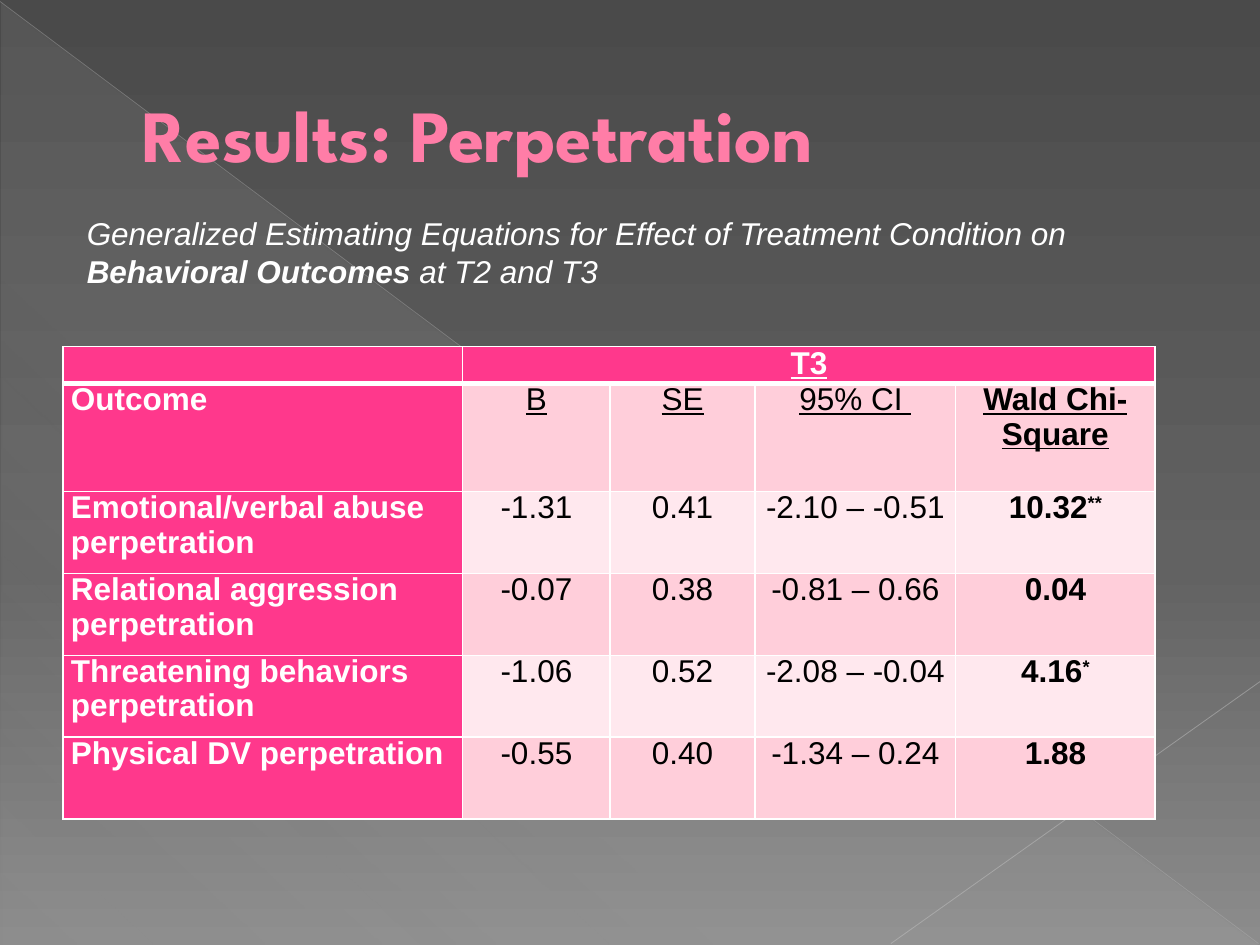
from lxml import etree
from pptx import Presentation
from pptx import util as u
from pptx.dml.color import RGBColor
from pptx.enum import shapes, text
from pptx.oxml import parse_xml
from pptx.oxml.ns import nsdecls, qn

WHITE = RGBColor(0xFF, 0xFF, 0xFF)
BLACK = RGBColor(0, 0, 0)
ROSE = RGBColor(0xFF, 0x7D, 0xA7)
WINE = RGBColor(0xB1, 0x27, 0x61)
PINK = RGBColor(0xFF, 0x38, 0x8C)
BLUSH = RGBColor(0xFF, 0xCE, 0xDA)
PALE = RGBColor(0xFF, 0xE8, 0xEE)
DARK = RGBColor(0x4A, 0x4A, 0x4A)
GREY = RGBColor(0x62, 0x62, 0x62)
LIGHT = RGBColor(0x8C, 0x8C, 0x8C)
MIST = RGBColor(0xD2, 0xD2, 0xD2)
RAY = RGBColor(0xBF, 0xBF, 0xBF)
BEAM = RGBColor(0xC6, 0xC6, 0xC6)

HEADS = ["Outcome", "B", "SE", "95% CI ", "Wald Chi-Square"]
ROWS = [
    ["Emotional/verbal abuse perpetration", "-1.31", "0.41", "-2.10 – -0.51", "10.32**"],
    ["Relational aggression perpetration", "-0.07", "0.38", "-0.81 – 0.66", "0.04"],
    ["Threatening behaviors perpetration", "-1.06", "0.52", "-2.08 – -0.04", "4.16*"],
    ["Physical DV perpetration", "-0.55", "0.40", "-1.34 – 0.24", "1.88"],
]
COLS = [8.05, 2.97, 2.92, 4.04, 4.02]
TALL = [0.56, 2.18] + [1.65] * 4


def color(rgb, alpha=100):
    return (f'<a:srgbClr val="{rgb}"><a:alpha val="{alpha * 1000}"/></a:srgbClr>')


def grad(stops, angle):
    """Gradient fill from (position, colour, opacity) stops."""
    gs = "".join(f'<a:gs pos="{pos * 1000}">{color(rgb, alpha)}</a:gs>'
                 for pos, rgb, alpha in stops)
    return parse_xml(f'<a:gradFill {nsdecls("a")} rotWithShape="1"><a:gsLst>{gs}</a:gsLst>'
                     f'<a:lin ang="{angle * 60000}" scaled="0"/></a:gradFill>')


def swap(fill, new):
    """Put a new gradient in place of the default one."""
    old = fill.find(".//" + qn("a:gradFill"))
    old.getparent().replace(old, new)


def style(run, size, rgb, bold=False, italic=False, line=False, face="Arial"):
    font = run.font
    font.size, font.name = u.Pt(size), face
    font.bold, font.italic, font.underline = bold, italic, line
    font.color.rgb = rgb


def ray(slide, x1, y1, x2, y2, rgb, width, alpha):
    line = slide.shapes.add_connector(shapes.MSO_CONNECTOR.STRAIGHT,
                                      u.Cm(x1), u.Cm(y1), u.Cm(x2), u.Cm(y2))
    line.line.width = u.Pt(width)
    line.line.color.rgb = rgb
    props = line._element.spPr
    tone = props.find(".//" + qn("a:srgbClr"))
    etree.SubElement(tone, qn("a:alpha")).set("val", str(alpha * 1000))
    etree.SubElement(props, qn("a:effectLst"))


def backdrop(slide, wide, high):
    back = slide.background.fill
    back.gradient()
    swap(slide._element, grad([(0, DARK, 100), (60, GREY, 100), (100, LIGHT, 100)], 90))
    wedge = slide.shapes.add_shape(shapes.MSO_SHAPE.RIGHT_TRIANGLE, u.Cm(0.03), u.Cm(0.05),
                                   u.Cm(wide - 0.05), u.Cm(high - 0.05))
    wedge.shadow.inherit = False
    wedge.line.fill.background()
    wedge.fill.gradient()
    swap(wedge._element, grad([(0, MIST, 10), (70, MIST, 8), (100, MIST, 1)], 133))
    ray(slide, 0, 0.03, wide - 0.03, high - 0.03, RAY, 0.39, 35)
    ray(slide, wide, 13.74, 17.96, high - 0.03, BEAM, 0.47, 45)


def frame(slide, x, y, w, h):
    body = slide.shapes.add_textbox(u.Cm(x), u.Cm(y), u.Cm(w), u.Cm(h)).text_frame
    body.word_wrap = True
    return body


def title(slide, x, y, w, h):
    body = frame(slide, x, y, w, h)
    body.vertical_anchor = text.MSO_ANCHOR.MIDDLE
    body.text = "Results: Perpetration"
    para = body.paragraphs[0]
    para._p.get_or_add_pPr().set("marL", str(u.Cm(1.35)))
    run = para.runs[0]
    style(run, 42, ROSE, bold=True, face="League Spartan")
    edge = (f'<a:ln {nsdecls("a")} w="6350"><a:solidFill>{color(WINE)}</a:solidFill></a:ln>')
    run._r.get_or_add_rPr().insert(0, parse_xml(edge))


def caption(slide, x, y, w, h):
    para = frame(slide, x, y, w, h).paragraphs[0]
    parts = ["Generalized Estimating Equations for Effect of Treatment Condition on ",
             "Behavioral Outcomes ", "at T2 and T3"]
    for i, part in enumerate(parts):
        run = para.add_run()
        run.text = part
        style(run, 18, WHITE, bold=i == 1, italic=True)


def paint(cell, rgb, top, base):
    """Fill, margins and white borders of one cell."""
    cell.fill.solid()
    cell.fill.fore_color.rgb = rgb
    cell.margin_left = cell.margin_right = u.Cm(0.16)
    cell.margin_top = cell.margin_bottom = 0
    props = cell._tc.get_or_add_tcPr()
    for i, (side, width) in enumerate(zip("LRTB", (1, 1, top, base))):
        props.insert(i, parse_xml(
            f'<a:ln{side} {nsdecls("a")} w="{u.Pt(width)}"><a:solidFill>{color(WHITE)}'
            f'</a:solidFill></a:ln{side}>'))


def write(cell, words, rgb, bold, line, center):
    para = cell.text_frame.paragraphs[0]
    para.line_spacing = 0.97
    if center:
        para.alignment = text.PP_ALIGN.CENTER
    if not words:
        para.font.size = u.Pt(12)
        return
    plain = words.rstrip("*")
    para.text = plain
    if plain != words:
        para.add_run().text = words[len(plain):]
        para.runs[1]._r.get_or_add_rPr().set("baseline", "30000")
    for run in para.runs:
        style(run, 18, rgb, bold, line=line)


def results(slide, x, y, w, h):
    data = [["", "T3", "", "", ""], HEADS] + ROWS
    grid = slide.shapes.add_table(len(data), len(COLS), u.Cm(x), u.Cm(y),
                                  u.Cm(w), u.Cm(h)).table
    for col, size in zip(grid.columns, COLS):
        col.width = u.Cm(size * w / sum(COLS))
    for row, size in zip(grid.rows, TALL):
        row.height = u.Cm(size)
    for r, row in enumerate(data):
        for c, words in enumerate(row):
            cell = grid.cell(r, c)
            key = r == 0 or c == 0
            fill = PINK if key else (BLUSH if r % 2 else PALE)
            paint(cell, fill, 3 if r == 1 else 1, 3 if r == 0 else 1)
            write(cell, words, WHITE if key else BLACK, key or c == 4,
                  r < 2 and c > 0, c > 0)
    grid.cell(0, 1).merge(grid.cell(0, 4))


def main():
    deck = Presentation()
    deck.slide_width, deck.slide_height = u.Cm(25.4), u.Cm(19.05)
    slide = deck.slides.add_slide(deck.slide_layouts[6])
    backdrop(slide, 25.4, 19.05)
    title(slide, 1.27, 0.74, 22.86, 3.89)
    results(slide, 1.27, 6.99, 22.02, 9.34)
    caption(slide, 1.5, 4.19, 21.39, 1.8)
    deck.save("out.pptx")


main()
